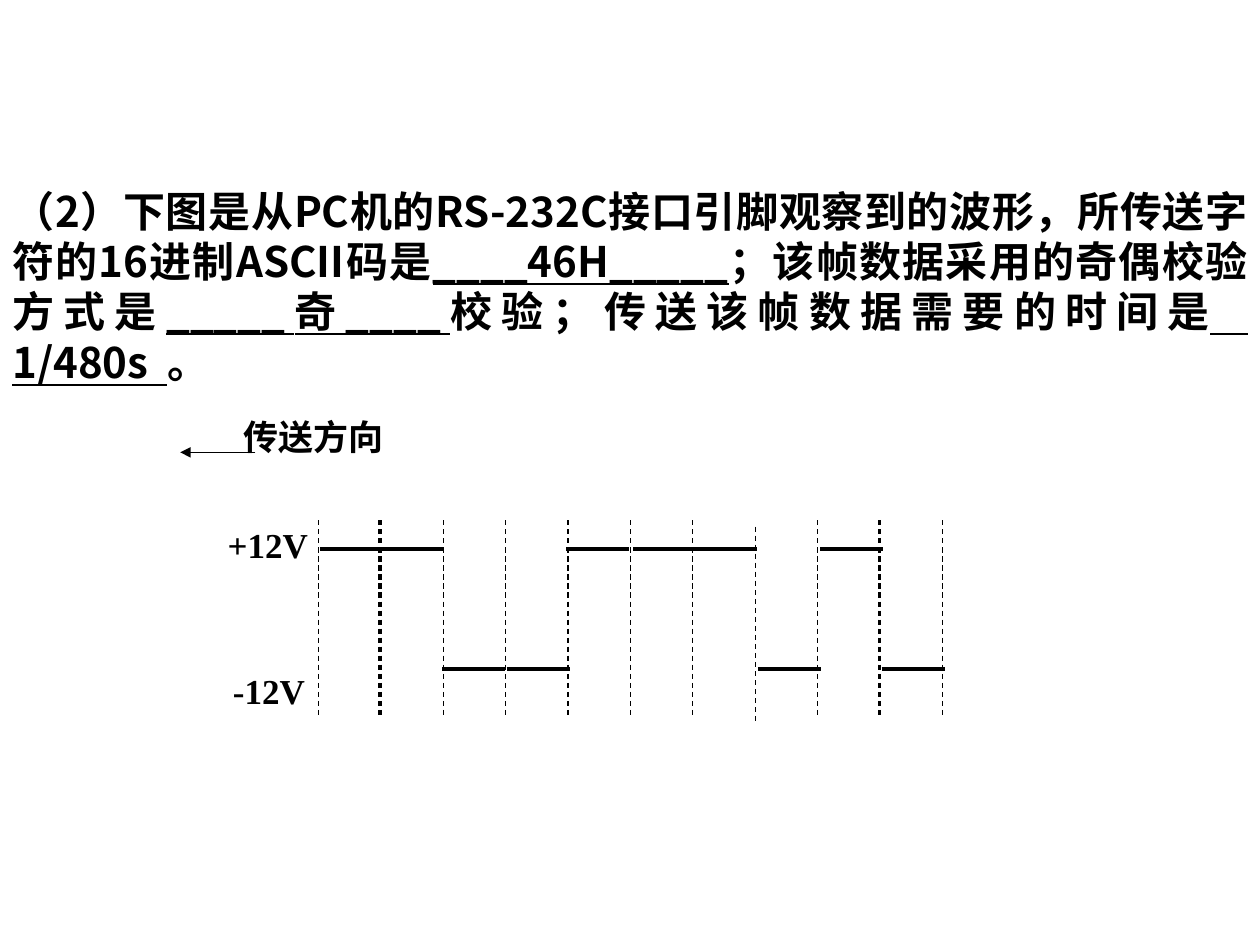
from lxml.etree import SubElement
from pptx import Presentation
from pptx.dml.color import RGBColor as RGB
from pptx.enum.dml import MSO_LINE as Dash
from pptx.enum.shapes import MSO_CONNECTOR as Conn
from pptx.enum.text import PP_ALIGN as Align
from pptx.oxml.ns import qn
from pptx.util import Pt

COLORS = {"ink": "000000", "back": "FFFFFF"}
SANS, SERIF = "Noto Sans CJK SC", "Times New Roman"
QUESTION = [  # (text, underlined)
    ("（2）下图是从PC机的RS-232C接口引脚观察到的波形，所传送字符的16进制ASCII码是", False),
    ("____46H_____", True),
    ("；该帧数据采用的奇偶校验方式是", False),
    ("_____奇____", True),
    ("校验；传送该帧数据需要的时间是", False),
    ("   1/480s  ", True),
    ("。", False),
]
BITS = "1100111010"  # 1 is drawn at +12V, 0 at -12V
NUDGES = [0.6, 0.2, -0.6, 0.5, -1, 1.5, 0.5, 1.5, 1.5, 1]  # start of each bar


def add_text(slide, box, runs, font=SERIF, size=20, bold=True):
    shape = slide.shapes.add_textbox(*map(Pt, box))
    frame = shape.text_frame
    frame.word_wrap = True
    para = frame.paragraphs[0]
    para.alignment = Align.JUSTIFY
    for text, under in runs:
        run = para.add_run()
        run.text = text
        style = run.font
        style.name, style.size, style.bold = font, Pt(size), bold
        style.underline = under
        style.color.rgb = RGB.from_string(COLORS["ink"])
        SubElement(run._r.get_or_add_rPr(), qn("a:ea"), typeface=SANS)


def add_line(slide, start, end, width=0.75, dash=None, arrow=False):
    line = slide.shapes.add_connector(Conn.STRAIGHT, *map(Pt, (*start, *end)))
    line.line.width = Pt(width)
    line.line.color.rgb = RGB.from_string(COLORS["ink"])
    if dash:
        line.line.dash_style = dash
    if arrow:
        SubElement(line.line._get_or_add_ln(), qn("a:tailEnd"), type="triangle")
    SubElement(line._element.spPr, qn("a:effectLst"))


def add_arrow(slide, left, top):
    """Draw the label for the sending direction and its arrow."""
    add_text(slide, (left + 29, top, 145, 52.5), [("传送方向", False)])
    add_line(slide, (left + 43, top + 24.5), (left, top + 24.5), arrow=True)


def add_wave(slide, left, top, width, height):
    """Draw dashed bit borders, the level of each bit and the voltage labels."""
    step = width / len(BITS)
    high, low = top + 16.5, top + 85
    add_text(slide, (left - 59, top - 2, 76, 54), [("+12V", False)])
    add_text(slide, (left - 56, top + 81.5, 61, 47.5), [("-12V", False)])

    borders = [(i * step, 0) for i in range(len(BITS) + 1)]
    borders[7] = (7 * step, 3.6)
    borders += [(step - 1, 0), (9 * step - 0.9, 0)]
    for x, drop in borders:
        y = top + drop
        add_line(slide, (left + x, y), (left + x, y + height), dash=Dash.DASH)

    for i, (bit, nudge) in enumerate(zip(BITS, NUDGES)):
        x = left + i * step + nudge
        y = high if bit == "1" else low
        add_line(slide, (x, y), (x + 36, y), width=2)


def main():
    deck = Presentation()
    deck.slide_width, deck.slide_height = Pt(720), Pt(540)
    slide = deck.slides.add_slide(deck.slide_layouts[6])
    fill = slide.background.fill
    fill.solid()
    fill.fore_color.rgb = RGB.from_string(COLORS["back"])
    add_text(slide, (0, 102.3, 720, 122.4), QUESTION, font=SANS, size=24)
    add_arrow(slide, 103, 234)
    add_wave(slide, 182, 297.3, 356.5, 111.6)
    deck.save("out.pptx")


if __name__ == "__main__":
    main()
